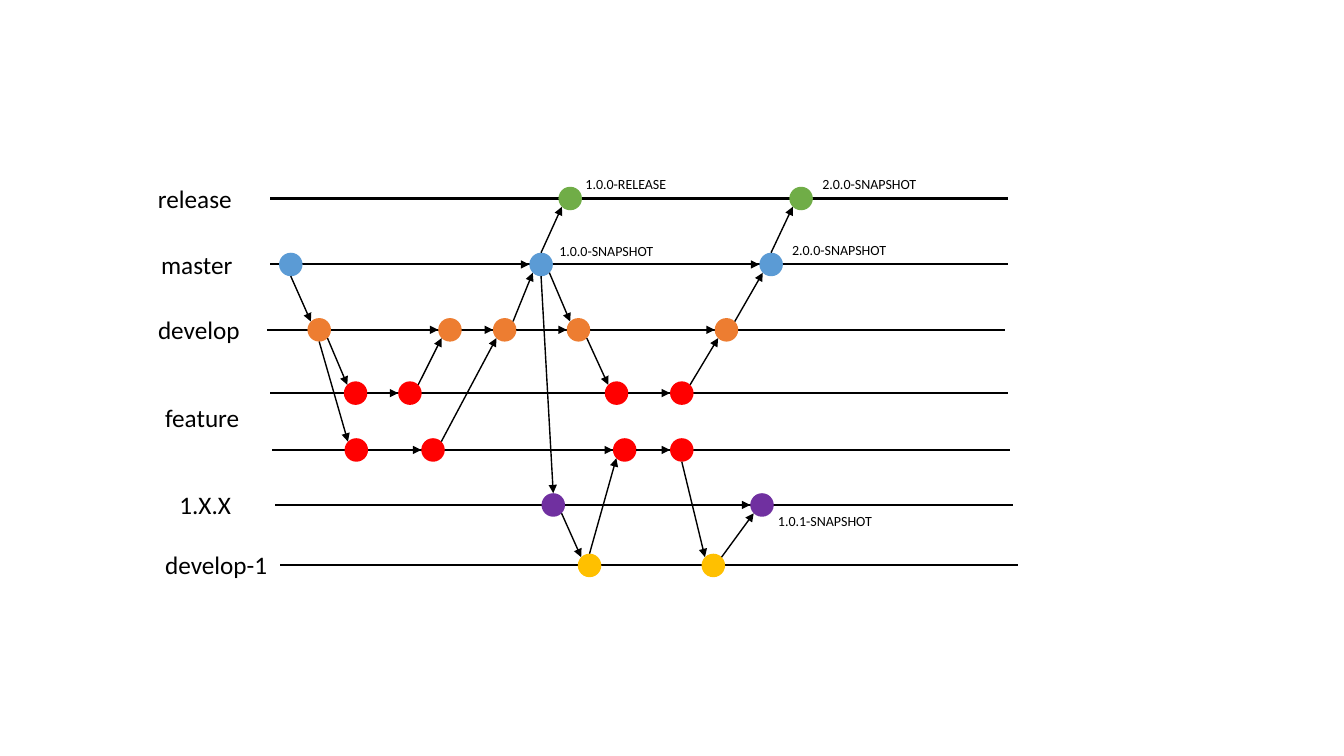
from itertools import pairwise
from math import sqrt

from lxml import etree
from pptx import Presentation
from pptx.dml.color import RGBColor
from pptx.enum import shapes, text
from pptx.oxml.ns import qn
from pptx.util import Pt

BLACK = "000000"
LANE_LENGTH = 527
DOT = 16.8

# name: line start, line height, dot colour, dot centres, weights of links between neighbours
LANES = {
    "release": (193, 141.8, "70AD47", [407.3, 572.2], [0]),
    "master": (193, 188.9, "5B9BD5", [207.7, 386.5, 550.8], [0.5, 0.5]),
    "develop": (190.8, 235.6, "ED7D31", [228, 321.4, 360.5, 413.2, 518.9], [0.5] * 4),
    "feature": (193, 280.8, "FF0000", [254, 292.8, 440.4, 487], [0.5, 0, 0.5]),
    "feature-2": (194.4, 321.4, "FF0000", [254.5, 309.3, 446.2, 487], [0.5, 0.5, 1]),
    "1.X.X": (196.6, 360.7, "7030A0", [395.2, 544.3], [0.5]),
    "develop-1": (200.2, 403.9, "FFC000", [421.1, 509.5], [0]),
}

BRANCHES = [
    ("master", 0, "bottom", "develop", 0, "top left"),
    ("develop", 0, "bottom right", "feature", 0, "top left"),
    ("feature", 1, "top right", "develop", 1, "bottom left"),
    ("develop", 0, "bottom", "feature-2", 0, "top left"),
    ("feature-2", 1, "top right", "develop", 2, "bottom left"),
    ("develop", 2, "top right", "master", 1, "bottom left"),
    ("master", 1, "top", "release", 0, "bottom left"),
    ("master", 1, "bottom", "1.X.X", 0, "top"),
    ("1.X.X", 0, "bottom right", "develop-1", 0, "top left"),
    ("develop-1", 0, "top", "feature-2", 2, "bottom left"),
    ("feature-2", 3, "bottom", "develop-1", 1, "top left"),
    ("develop-1", 1, "top right", "1.X.X", 1, "bottom left"),
    ("master", 1, "bottom right", "develop", 3, "top left"),
    ("develop", 3, "bottom right", "feature", 2, "top left"),
    ("feature", 3, "top right", "develop", 4, "bottom left"),
    ("develop", 4, "top right", "master", 2, "bottom left"),
    ("master", 2, "top", "release", 1, "bottom left"),
]

LANE_NAMES = [
    ("release", 105.8, 127.4, 67.7),
    ("master", 108, 174.2, 66.2),
    ("develop", 105.8, 221, 73.4),
    ("feature", 110.9, 283.7, 68.4),
    ("1.X.X", 121, 345.6, 51.8),
    ("develop-1", 110.9, 388.8, 88.6),
]

VERSIONS = [
    ("1.0.0-RELEASE", 411.1, 121.7, 73.4),
    ("2.0.0-SNAPSHOT", 580.3, 121.7, 82.8),
    ("1.0.0-SNAPSHOT", 392.4, 169.9, 82.8),
    ("2.0.0-SNAPSHOT", 558.7, 169.2, 82.8),
    ("1.0.1-SNAPSHOT", 548.6, 362.9, 82.8),
]

SIDES = {"top": (0, -1), "bottom": (0, 1), "left": (-1, 0), "right": (1, 0)}


def colour(value):
    return RGBColor.from_string(value)


def add_text(page, words, left, top, width, height, size, font="Calibri", fill=BLACK):
    box = page.shapes.add_textbox(Pt(left), Pt(top), Pt(width), Pt(height))
    frame = box.text_frame
    frame.word_wrap = False
    frame.auto_size = text.MSO_AUTO_SIZE.SHAPE_TO_FIT_TEXT
    span = frame.paragraphs[0].add_run()
    span.text = words
    span.font.name = font
    span.font.size = Pt(size)
    span.font.color.rgb = colour(fill)


def add_line(page, start, end, weight, arrow=False):
    line = page.shapes.add_connector(
        shapes.MSO_CONNECTOR.STRAIGHT, *(Pt(value) for value in (*start, *end))
    )
    line.line.color.rgb = colour(BLACK)
    line.line.width = Pt(weight)
    properties = line._element.spPr
    if arrow:
        etree.SubElement(properties.find(qn("a:ln")), qn("a:tailEnd"), type="triangle")
    etree.SubElement(properties, qn("a:effectLst"))


def add_dot(page, x, y, fill):
    dot = page.shapes.add_shape(
        shapes.MSO_SHAPE.FLOWCHART_CONNECTOR,
        Pt(x - DOT / 2), Pt(y - DOT / 2), Pt(DOT), Pt(DOT),
    )
    dot.shadow.inherit = False
    dot.fill.solid()
    dot.fill.fore_color.rgb = colour(fill)
    dot.line.fill.background()


def dot_edge(lane, index, site):
    _, y, _, centres, _ = LANES[lane]
    steps = [SIDES[side] for side in site.split()]
    reach = DOT / 2 / sqrt(len(steps))
    return (
        centres[index] + reach * sum(dx for dx, _ in steps),
        y + reach * sum(dy for _, dy in steps),
    )


def main():
    deck = Presentation()
    deck.slide_width, deck.slide_height = Pt(960), Pt(540)
    page = deck.slides.add_slide(deck.slide_layouts[6])

    for start, y, _, _, _ in LANES.values():
        add_line(page, (start, y), (start + LANE_LENGTH, y), 1.5)

    for _, y, fill, centres, _ in LANES.values():
        for x in centres:
            add_dot(page, x, y, fill)

    for _, y, _, centres, weights in LANES.values():
        for (first, second), weight in zip(pairwise(centres), weights):
            if weight:
                add_line(page, (first + DOT / 2, y), (second - DOT / 2, y), weight, arrow=True)

    for branch in BRANCHES:
        add_line(page, dot_edge(*branch[:3]), dot_edge(*branch[3:]), 1, arrow=True)

    for words, left, top, width in LANE_NAMES:
        add_text(page, words, left, top, width, 29, size=18)
    for words, left, top, width in VERSIONS:
        add_text(page, words, left, top, width, 19.4, size=10)

    deck.save("out.pptx")


if __name__ == "__main__":
    main()
